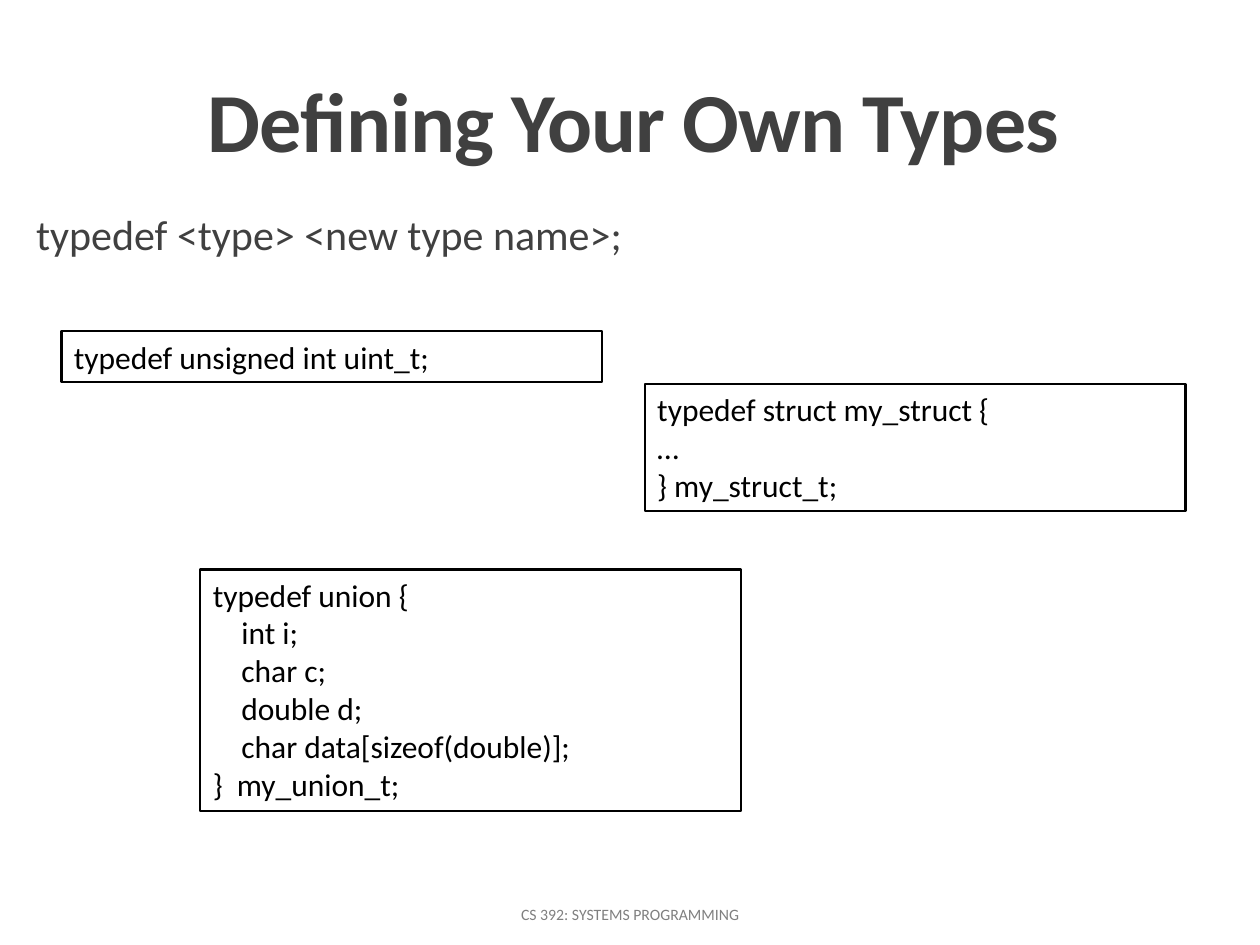
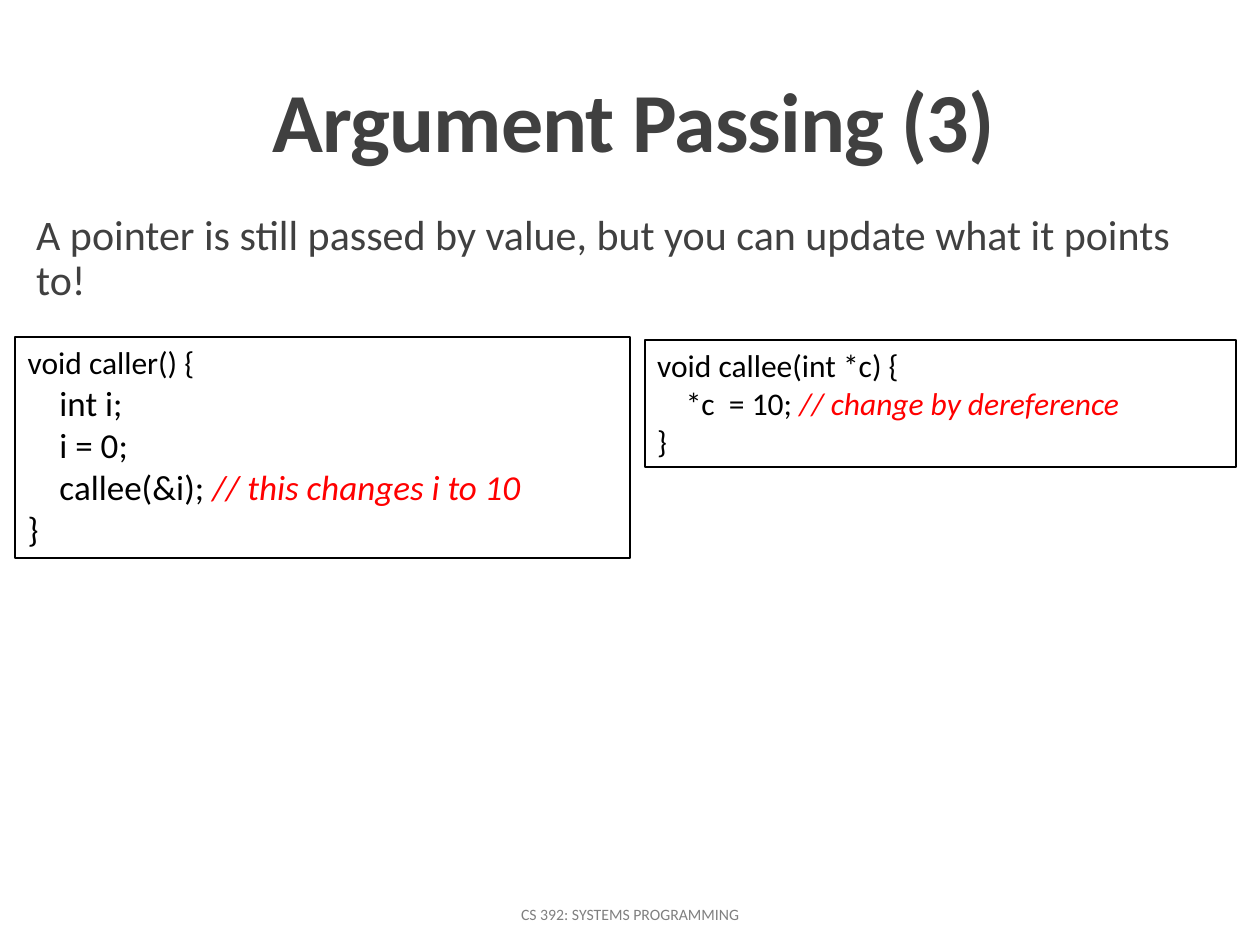
from pptx import Presentation
from pptx.dml.color import RGBColor
from pptx.enum.shapes import MSO_SHAPE
from pptx.enum.text import MSO_ANCHOR, MSO_AUTO_SIZE, PP_ALIGN
from pptx.util import Cm, Pt

FONT = "Calibri"
HEADING_COLOR = "404040"
FOOTER_COLOR = "808080"
CODE_COLOR = "000000"
COMMENT_COLOR = "FF0000"
PAPER_COLOR = "FFFFFF"
COURSE = "CS 392: SYSTEMS PROGRAMMING"
CODE_SIZE = 18
INDENT_PER_POINT = 0.032  # cm of code indent for each point of text size


def rgb(hex_color):
    return RGBColor.from_string(hex_color)


def style_run(run, size, color, bold=False, italic=False):
    font = run.font
    font.name = FONT
    font.size = Pt(size)
    font.bold = bold
    font.italic = italic
    font.color.rgb = rgb(color)


def add_line(slide, text, box, size, color, anchor, align=PP_ALIGN.CENTER, bold=False):
    """Add a one-paragraph text box; box is left, top, width, height in cm."""
    frame = slide.shapes.add_textbox(*map(Cm, box)).text_frame
    frame.word_wrap = True
    frame.vertical_anchor = anchor
    frame.text = text
    paragraph = frame.paragraphs[0]
    paragraph.alignment = align
    style_run(paragraph.runs[0], size, color, bold)
    return paragraph


def add_title(slide, title):
    paragraph = add_line(slide, title, (2.29, 0.1, 20.96, 3.45), 48,
                         HEADING_COLOR, MSO_ANCHOR.BOTTOM, bold=True)
    paragraph.line_spacing = 0.85
    paragraph.runs[0].font._element.set("spc", "-50")


def add_statement(slide, statement):
    paragraph = add_line(slide, statement, (0.48, 4.19, 24.43, 2.87), 24,
                         HEADING_COLOR, MSO_ANCHOR.TOP, PP_ALIGN.LEFT)
    paragraph.line_spacing = 0.9
    paragraph.space_before = Pt(12)
    paragraph.space_after = Pt(2)


def add_footer(slide):
    add_line(slide, COURSE, (7.67, 17.93, 10.06, 1.02), 9,
             FOOTER_COLOR, MSO_ANCHOR.MIDDLE)


def add_code_line(paragraph, line, size):
    """Write one line of code: a leading tab indents it, // starts a comment."""
    code, slashes, comment = line.lstrip("\t").partition("//")
    paragraph.text = code
    paragraph.alignment = PP_ALIGN.LEFT
    style_run(paragraph.runs[0], size, CODE_COLOR)
    if line.startswith("\t"):
        indent = Cm(INDENT_PER_POINT * size)
        paragraph._p.get_or_add_pPr().set("marL", str(indent))
    if slashes:
        remark = paragraph.add_run()
        remark.text = slashes + comment
        style_run(remark, size, COMMENT_COLOR, italic=True)


def add_code_box(slide, lines, box, body_size=CODE_SIZE):
    """Add a framed listing; body_size applies from its second line on."""
    listing = slide.shapes.add_shape(MSO_SHAPE.RECTANGLE, *map(Cm, box))
    listing.shadow.inherit = False
    listing.fill.solid()
    listing.fill.fore_color.rgb = rgb(PAPER_COLOR)
    listing.line.color.rgb = rgb(CODE_COLOR)
    listing.line.width = Pt(1.25)
    frame = listing.text_frame
    frame.word_wrap = True
    frame.auto_size = MSO_AUTO_SIZE.SHAPE_TO_FIT_TEXT
    frame.vertical_anchor = MSO_ANCHOR.TOP
    for number, line in enumerate(lines):
        paragraph = frame.add_paragraph() if number else frame.paragraphs[0]
        add_code_line(paragraph, line, body_size if number else CODE_SIZE)


def add_topic(deck, title, statement):
    """Add a slide with the parts that every topic shares."""
    slide = deck.slides.add_slide(deck.slide_layouts[6])
    add_title(slide, title)
    add_statement(slide, statement)
    add_footer(slide)
    return slide


def add_types_slide(deck):
    slide = add_topic(deck, "Defining Your Own Types",
                      "typedef <type> <new type name>;")
    add_code_box(slide, ["typedef struct my_struct {", "…", "} my_struct_t;"],
                 (13, 7.74, 10.9, 2.56))
    add_code_box(slide, ["typedef unsigned int uint_t;"], (1.24, 6.68, 10.9, 1.03))
    add_code_box(slide, ["typedef union {", "\tint i;", "\tchar c;", "\tdouble d;",
                         "\tchar data[sizeof(double)];", "}  my_union_t;"],
                 (4.04, 11.48, 10.9, 4.87))


def add_arguments_slide(deck):
    slide = add_topic(
        deck, "Argument Passing (3)",
        "A pointer is still passed by value, but you can update what it points to!")
    add_code_box(slide, ["void callee(int *c) {",
                         "\t*c  = 10; // change by dereference", "}"],
                 (13, 6.85, 11.91, 2.56))
    add_code_box(slide, ["void caller() {", "\tint i;", "\ti = 0;",
                         "\tcallee(&i); // this changes i to 10", "}"],
                 (0.31, 6.8, 12.4, 4.45), body_size=20)


def main():
    deck = Presentation()
    deck.slide_width = Cm(25.4)
    deck.slide_height = Cm(19.05)
    add_types_slide(deck)
    add_arguments_slide(deck)
    deck.save("out.pptx")


if __name__ == "__main__":
    main()
